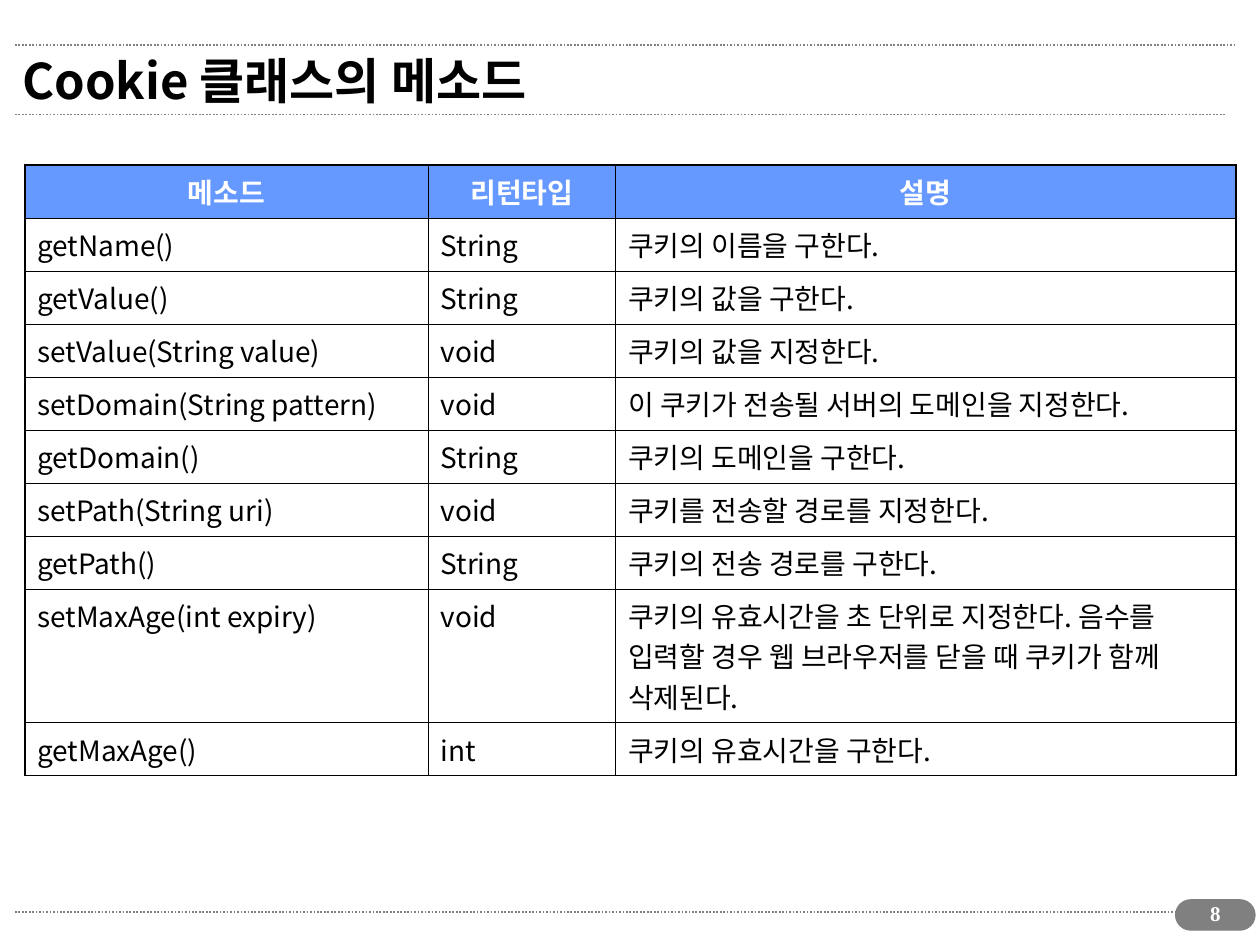
from dataclasses import dataclass

from lxml.etree import SubElement
from pptx import Presentation
from pptx.dml.color import RGBColor
from pptx.enum.dml import MSO_LINE
from pptx.enum.shapes import MSO_CONNECTOR, MSO_SHAPE
from pptx.enum.text import MSO_ANCHOR, MSO_AUTO_SIZE, PP_ALIGN
from pptx.oxml.ns import qn
from pptx.util import Cm, Pt


@dataclass(frozen=True)
class Theme:
    ink: RGBColor = RGBColor(0x00, 0x00, 0x00)
    white: RGBColor = RGBColor(0xFF, 0xFF, 0xFF)
    grey: RGBColor = RGBColor(0x80, 0x80, 0x80)
    header: RGBColor = RGBColor(0x66, 0x99, 0xFF)
    font: str = "Noto Sans CJK KR"
    number_font: str = "Times New Roman"
    title_size: Pt = Pt(28)
    table_size: Pt = Pt(16)
    number_size: Pt = Pt(12)
    outer_border: Pt = Pt(1.08)
    inner_border: Pt = Pt(0.45)


theme = Theme()


def style_text(text_frame, font_name, size, color, bold, align):
    for paragraph in text_frame.paragraphs:
        paragraph.alignment = align
        for run in paragraph.runs:
            run.font.size, run.font.bold = size, bold
            run.font.color.rgb = color
            run.font.name = font_name
            SubElement(run.font._element, qn("a:ea"), typeface=font_name)


def set_border(cell, side, width):
    """Draw one side of a cell; side is L, R, T or B, called in that order."""
    border = SubElement(cell._tc.get_or_add_tcPr(), qn(f"a:ln{side}"), w=str(int(width)))
    fill = SubElement(border, qn("a:solidFill"))
    SubElement(fill, qn("a:srgbClr"), val=str(theme.ink))


prs = Presentation()
prs.slide_width, prs.slide_height = Cm(25.4), Cm(19.05)
slide = prs.slides.add_slide(prs.slide_layouts[5])
shapes = slide.shapes

# Dotted rules around the title and above the foot
for right, y in [(24.71, 18.39), (24.69, 2.31), (24.89, 0.91)]:
    rule = shapes.add_connector(MSO_CONNECTOR.STRAIGHT, Cm(0.3), Cm(y), Cm(right), Cm(y))
    rule.line.color.rgb = theme.grey
    rule.line.width = Pt(1)
    rule.line.dash_style = MSO_LINE.ROUND_DOT
    SubElement(rule._element.spPr, qn("a:effectLst"))

# Title
title = shapes.title
title.left, title.top, title.width, title.height = Cm(0.2), Cm(0.71), Cm(23.11), Cm(1.8)
title.text_frame.text = "Cookie 클래스의 메소드"
title.text_frame.auto_size = MSO_AUTO_SIZE.NONE
title.text_frame.vertical_anchor = MSO_ANCHOR.MIDDLE
style_text(title.text_frame, theme.font, theme.title_size, theme.ink, True, PP_ALIGN.LEFT)

# Method table
methods = [
    ("메소드", "리턴타입", "설명"),
    ("getName()", "String", "쿠키의 이름을 구한다."),
    ("getValue()", "String", "쿠키의 값을 구한다."),
    ("setValue(String value)", "void", "쿠키의 값을 지정한다."),
    ("setDomain(String pattern)", "void", "이 쿠키가 전송될 서버의 도메인을 지정한다."),
    ("getDomain()", "String", "쿠키의 도메인을 구한다."),
    ("setPath(String uri)", "void", "쿠키를 전송할 경로를 지정한다."),
    ("getPath()", "String", "쿠키의 전송 경로를 구한다."),
    ("setMaxAge(int expiry)", "void",
     "쿠키의 유효시간을 초 단위로 지정한다. 음수를 입력할 경우 웹 브라우저를 닫을 때 "
     "쿠키가 함께 삭제된다."),
    ("getMaxAge()", "int", "쿠키의 유효시간을 구한다."),
]
column_widths = [8.13, 3.78, 12.5]
row_heights = [0.94] * 8 + [2.29, 0.94]
last_row, last_column = len(methods) - 1, len(column_widths) - 1

method_table = shapes.add_table(
    len(methods), len(column_widths), Cm(0.5), Cm(3.33),
    Cm(sum(column_widths)), Cm(sum(row_heights))).table
method_table.first_row = method_table.horz_banding = False
for column, width in zip(method_table.columns, column_widths):
    column.width = Cm(width)
for row, height in zip(method_table.rows, row_heights):
    row.height = Cm(height)

for r, method in enumerate(methods):
    is_header = r == 0
    for c, wording in enumerate(method):
        cell = method_table.cell(r, c)
        cell.text_frame.text = wording
        style_text(cell.text_frame, theme.font, theme.table_size,
                   theme.white if is_header else theme.ink, is_header,
                   PP_ALIGN.CENTER if is_header else PP_ALIGN.LEFT)
        on_edge = {"L": c == 0, "R": c == last_column, "T": is_header, "B": r == last_row}
        for side, outer in on_edge.items():
            set_border(cell, side, theme.outer_border if outer else theme.inner_border)
        if is_header:
            cell.fill.solid()
            cell.fill.fore_color.rgb = theme.header
        else:
            cell.fill.background()

# Page number on its pill
pill = shapes.add_shape(MSO_SHAPE.ROUNDED_RECTANGLE, Cm(23.7), Cm(18.14), Cm(1.6), Cm(0.61))
pill.adjustments[0] = 0.5
pill.shadow.inherit = False
pill.fill.solid()
pill.fill.fore_color.rgb = theme.grey
pill.line.color.rgb = theme.grey
pill.line.width = Pt(0.75)

page_number = shapes.add_textbox(Cm(23.8), Cm(18.03), Cm(1.4), Cm(0.86))
page_number.text_frame.word_wrap = True
page_number.text_frame.text = "8"
style_text(page_number.text_frame, theme.number_font, theme.number_size, theme.white, True,
           PP_ALIGN.CENTER)

prs.save("out.pptx")
